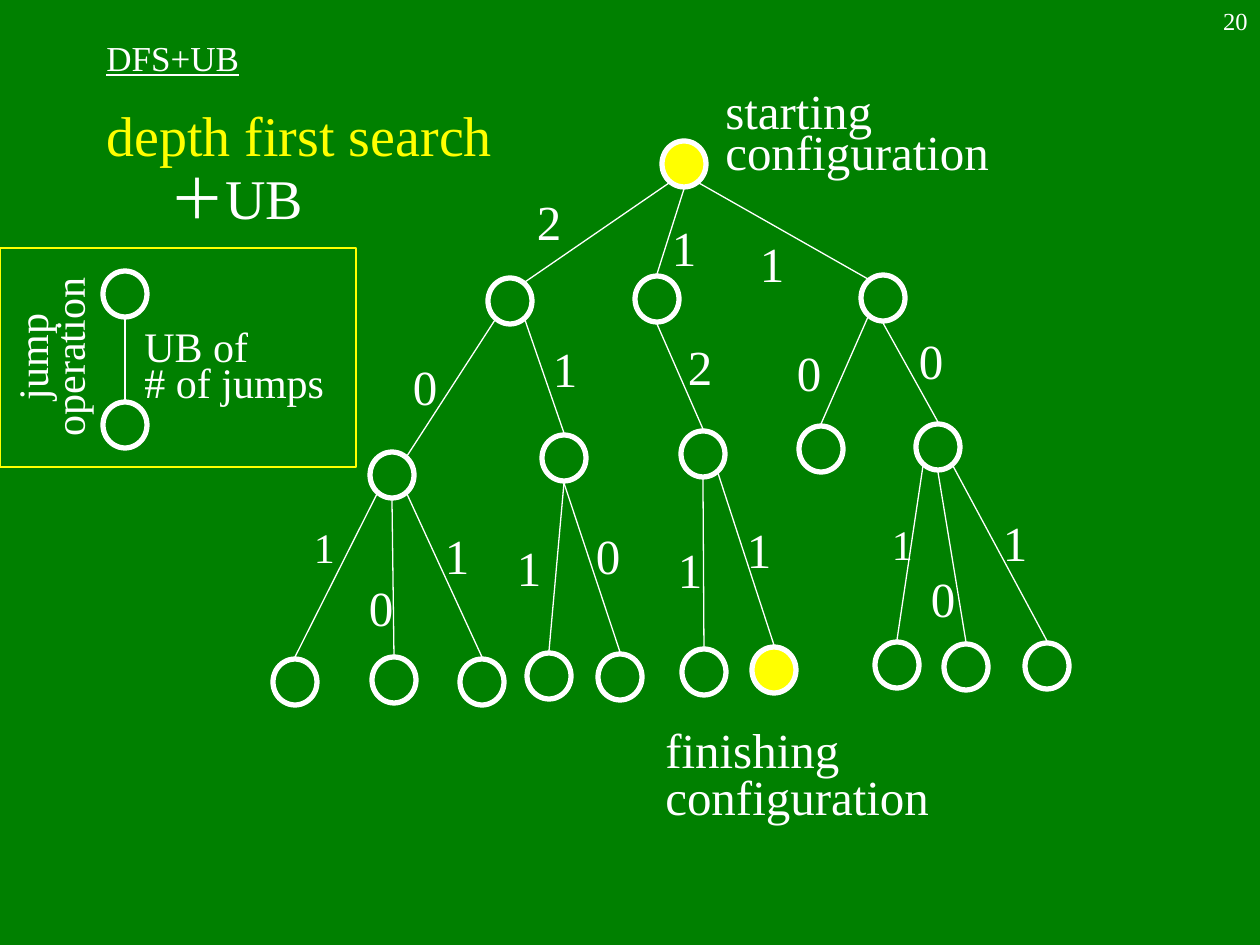
from pptx import Presentation
from pptx import util as u
from pptx.dml.color import RGBColor
from pptx.enum import shapes, text
from pptx.oxml.ns import qn
from lxml import etree

PX = 914400 / 126
FONT = "Times New Roman"
GREEN, WHITE, YELLOW = "008000", "FFFFFF", "FFFF00"
NODE_W, NODE_H = 44, 46
LEFT, CENTER, RIGHT = text.PP_ALIGN.LEFT, text.PP_ALIGN.CENTER, text.PP_ALIGN.RIGHT
TOP, MIDDLE = text.MSO_ANCHOR.TOP, text.MSO_ANCHOR.MIDDLE

SITES = {"N": (0, -25), "NE": (15, -19), "NW": (-15, -19),
         "S": (0, 25), "SE": (15, 19), "SW": (-15, 19)}

NODES = {
    "start": (684, 164),
    "a": (510, 301), "b": (657, 299), "c": (883, 298),
    "a1": (392, 475), "a2": (564, 458), "b1": (703, 454),
    "c1": (821, 449), "c2": (938, 447),
    "a11": (295, 682), "a12": (394, 680), "a13": (482, 682),
    "a21": (549, 676), "a22": (620, 677),
    "b11": (704, 672), "finish": (774, 670),
    "c21": (897, 665), "c22": (966, 667), "c23": (1047, 666),
    "before": (125, 294), "after": (125, 425),
}
MARKED = {"start", "finish"}

EDGES = [
    ("start", "SW", "a", "NE", "2", (549, 221), 28),
    ("start", "S", "b", "N", "1", (684, 247), 28),
    ("start", "SE", "c", "NW", "1", (772, 263), 28),
    ("a", "SW", "a1", "NE", "0", (425, 386), 28),
    ("a", "SE", "a2", "N", "1", (565, 368), 28),
    ("b", "S", "b1", "N", "2", (700, 366), 28),
    ("c", "SW", "c1", "N", "0", (809, 372), 28),
    ("c", "S", "c2", "N", "0", (931, 360), 28),
    ("a1", "SW", "a11", "N", "1", (324, 547), 24),
    ("a1", "S", "a12", "N", "0", (381, 607), 28),
    ("a1", "SE", "a13", "N", "1", (457, 555), 28),
    ("a2", "S", "a21", "N", "1", (529, 567), 28),
    ("a2", "S", "a22", "N", "0", (608, 555), 28),
    ("b1", "S", "b11", "N", "1", (690, 569), 28),
    ("b1", "SE", "finish", "N", "1", (759, 549), 28),
    ("c2", "SW", "c21", "N", "1", (902, 544), 24),
    ("c2", "S", "c22", "N", "0", (943, 598), 28),
    ("c2", "SE", "c23", "N", "1", (1015, 542), 28),
    ("before", "S", "after", "N", None, None, None),
]

CAPTIONS = [
    ("starting\nconfiguration", (713, 90, 289, 96), 28, LEFT, (0.7, 0.7), 0),
    ("finishing\nconfiguration", (653, 724, 289, 107), 28, LEFT, (0.8, 0.8), 0),
    ("UB of\n# of jumps", (132, 314, 220, 98), 24, LEFT, (1, 0.7), 0),
    ("jump\noperation", (-43, 308, 184, 98), 24, CENTER, (1, 0.7), 270),
]


def px(value):
    return u.Emu(round(value * PX))


def color(value):
    return RGBColor.from_string(value)


def add_text(page, words, frame, size, align=LEFT, anchor=MIDDLE, wrap=False):
    box = page.shapes.add_textbox(*map(px, frame))
    body = box.text_frame
    body.text = words
    body.word_wrap = wrap
    body.vertical_anchor = anchor
    for para in body.paragraphs:
        para.alignment = align
        for span in para.runs:
            span.font.size = u.Pt(size)
            span.font.name = FONT
            span.font.color.rgb = color(WHITE)
    return box


def add_outline(page, kind, frame, line, width, fill=None):
    shape = page.shapes.add_shape(kind, *map(px, frame))
    shape.shadow.inherit = False
    shape.line.color.rgb = color(line)
    shape.line.width = u.Pt(width)
    if fill:
        shape.fill.solid()
        shape.fill.fore_color.rgb = color(fill)
    else:
        shape.fill.background()


def site_point(node, site):
    return [px(a + b) for a, b in zip(NODES[node], SITES[site])]


def add_edge(page, parent, leave, child, arrive):
    edge = page.shapes.add_connector(
        shapes.MSO_CONNECTOR.STRAIGHT, *site_point(parent, leave), *site_point(child, arrive))
    edge.line.color.rgb = color(WHITE)
    edge.line.width = u.Pt(0.75)
    etree.SubElement(edge._element.spPr, qn("a:effectLst"))


def add_headings(page):
    title = add_text(page, "DFS+UB", (94, 41, 809, 32), 20, wrap=True)
    title.text_frame.paragraphs[0].runs[0].font.underline = True
    topic = add_text(page, "depth first search\n＋UB", (94, 94, 1124, 777), 32,
                     anchor=TOP, wrap=True)
    search, bound = topic.text_frame.paragraphs
    search.runs[0].font.color.rgb = color(YELLOW)
    bound.space_before = u.Pt(8)
    bound.line_spacing = 0.7
    indent = bound._p.get_or_add_pPr()
    indent.set("marL", str(px(102)))
    indent.set("indent", str(px(-39)))
    add_text(page, "20", (998, 0, 262, 63), 14, RIGHT, TOP, True)


def main():
    """Build the search tree slide with its jump bounds."""
    deck = Presentation()
    deck.slide_width, deck.slide_height = px(1260), px(945)
    page = deck.slides.add_slide(deck.slide_layouts[6])
    page.background.fill.solid()
    page.background.fill.fore_color.rgb = color(GREEN)

    add_headings(page)
    for name, (x, y) in NODES.items():
        add_outline(page, shapes.MSO_SHAPE.OVAL,
                    (x - NODE_W / 2, y - NODE_H / 2, NODE_W, NODE_H),
                    WHITE, 3, YELLOW if name in MARKED else None)
    for *ends, jumps, center, size in EDGES:
        add_edge(page, *ends)
        if jumps:
            x, y = center
            w, h = (49, 72) if size == 28 else (45, 63)
            add_text(page, jumps, (x - w / 2, y - h / 2, w, h), size, CENTER)
    for words, frame, size, align, spacing, rotation in CAPTIONS:
        box = add_text(page, words, frame, size, align)
        box.rotation = rotation
        for para, gap in zip(box.text_frame.paragraphs, spacing):
            para.line_spacing = gap
    add_outline(page, shapes.MSO_SHAPE.RECTANGLE, (0, 248, 356, 219), YELLOW, 0.75)
    deck.save("out.pptx")


if __name__ == "__main__":
    main()
